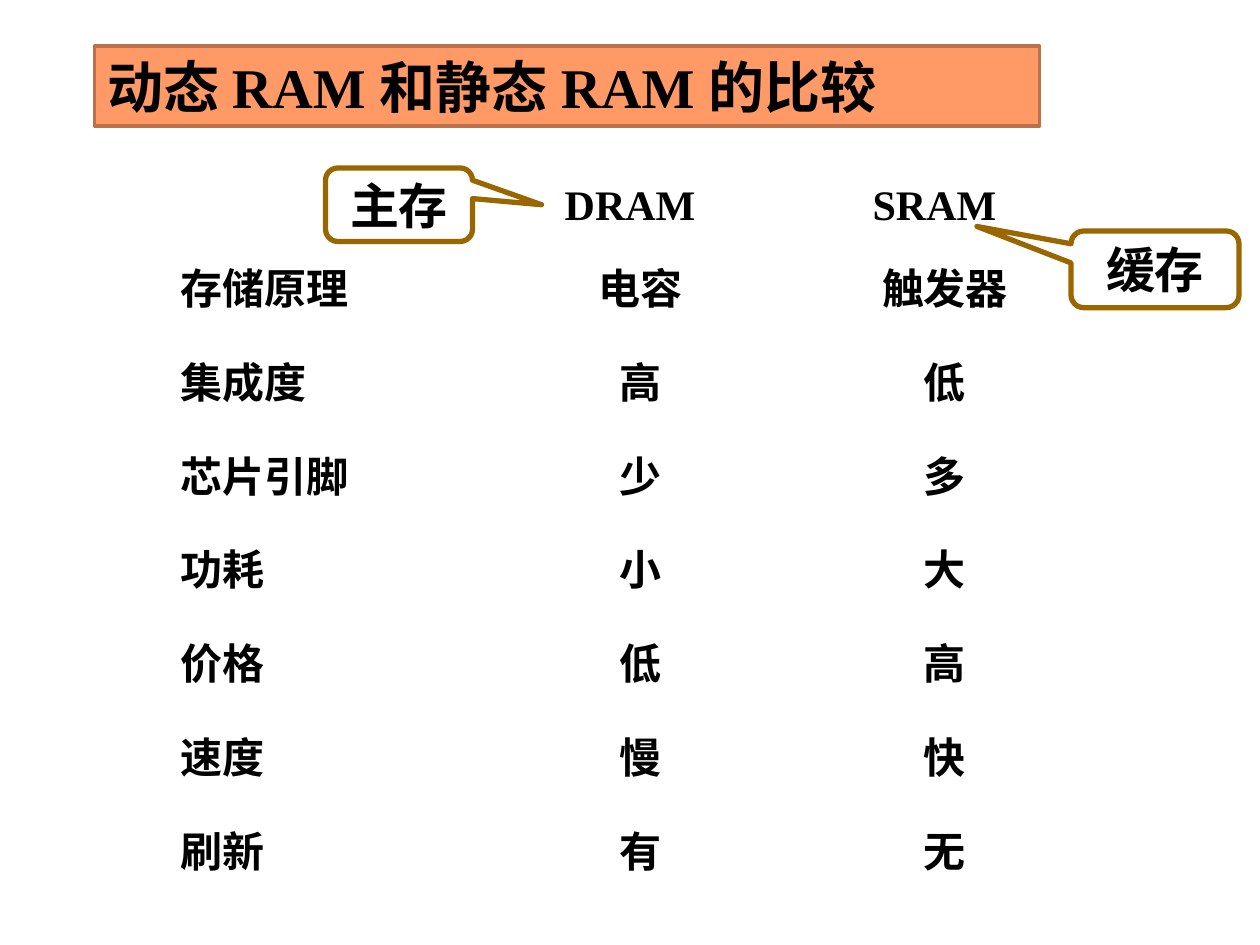
from collections import namedtuple

from pptx import Presentation
from pptx.dml.color import RGBColor
from pptx.enum.shapes import MSO_SHAPE as Shape
from pptx.enum.text import MSO_ANCHOR as Anchor, MSO_AUTO_SIZE as AutoSize, PP_ALIGN as Align
from pptx.util import Inches, Pt

COLORS = {"text": "000000", "title_fill": "FF9966", "title_line": "BD714B", "callout": "996600"}
FONT = "Times New Roman"
CELL = Inches(1) / 12  # the page is a grid of 120 columns by 90 rows

Box = namedtuple("Box", "left top width height")

HEADERS = ["DRAM", "SRAM"]
ROWS = [
    ("存储原理", "电容", "触发器"),
    ("集成度", "高", "低"),
    ("芯片引脚", "少", "多"),
    ("功耗", "小", "大"),
    ("价格", "低", "高"),
    ("速度", "慢", "快"),
    ("刷新", "有", "无"),
]


def color(name):
    return RGBColor.from_string(COLORS[name])


def lengths(box):
    return [round(value * CELL) for value in box]


def write(frame, text, size, align):
    frame.word_wrap = True
    frame.auto_size = AutoSize.NONE
    frame.vertical_anchor = Anchor.MIDDLE
    para = frame.paragraphs[0]
    para.text = text
    para.alignment = align
    font = para.font
    font.name, font.size, font.bold = FONT, Pt(size), True
    font.color.rgb = color("text")


def set_line(shape, name, width):
    shape.line.color.rgb = color(name)
    shape.line.width = Pt(width)


def add_title(page, box, text):
    title = page.shapes.title
    title.left, title.top, title.width, title.height = lengths(box)
    title.fill.solid()
    title.fill.fore_color.rgb = color("title_fill")
    set_line(title, "title_line", 2)
    write(title.text_frame, text, 32, Align.LEFT)


def add_label(page, box, text, align):
    label = page.shapes.add_textbox(*lengths(box))
    write(label.text_frame, text, 24, align)


def add_comparison(page, box):
    label_width, label_height = 32, 6
    first_row, column_gap = 8, 29
    row_gap = (box.height - first_row - label_height) / (len(ROWS) - 1)

    # Headers sit one column left of the values below them
    for column, header in enumerate(HEADERS, 1):
        left = box.left + column * column_gap - 1
        add_label(page, Box(left, box.top, label_width, label_height), header, Align.CENTER)

    # Property names, then the values of both memory types
    for row, texts in enumerate(ROWS):
        top = box.top + first_row + row * row_gap
        for column, text in enumerate(texts):
            left = box.left + column * column_gap
            align = Align.CENTER if column else Align.LEFT
            add_label(page, Box(left, top, label_width, label_height), text, align)


def add_callout(page, box, text, tip):
    callout = page.shapes.add_shape(Shape.ROUNDED_RECTANGULAR_CALLOUT, *lengths(box))
    callout.shadow.inherit = False
    callout.adjustments[0], callout.adjustments[1] = tip
    callout.fill.background()
    set_line(callout, "callout", 3)
    write(callout.text_frame, text, 28, Align.CENTER)


def main():
    deck = Presentation()
    deck.slide_width, deck.slide_height = Inches(10), Inches(7.5)
    page = deck.slides.add_slide(deck.slide_layouts.get_by_name("Title Only"))

    add_title(page, Box(9, 4.4, 90, 7.6), "动态 RAM 和静态 RAM 的比较")
    add_comparison(page, Box(16, 16.4, 90, 67.6))
    add_callout(page, Box(31, 16, 14, 7), "主存", (0.97, 0))
    add_callout(page, Box(102, 22, 16, 7.3), "缓存", (-1.06, -0.56))

    deck.save("out.pptx")


if __name__ == "__main__":
    main()
